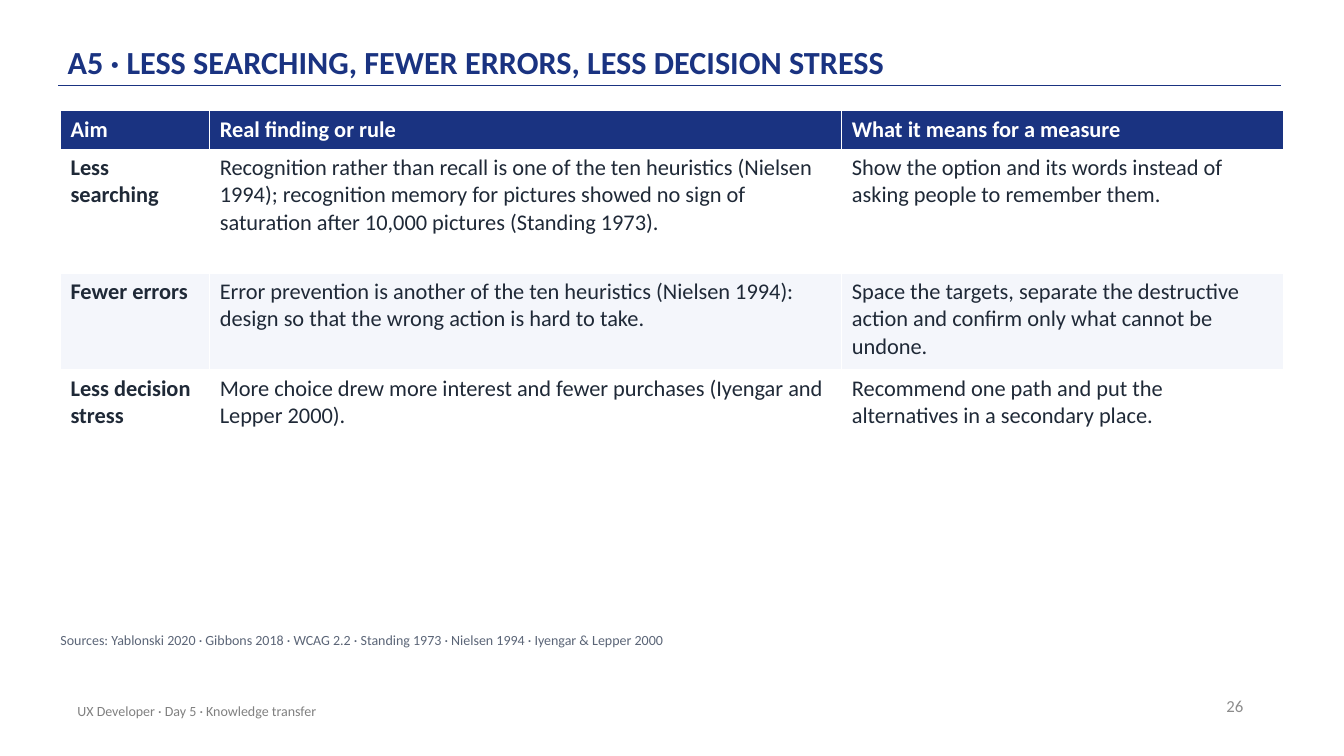
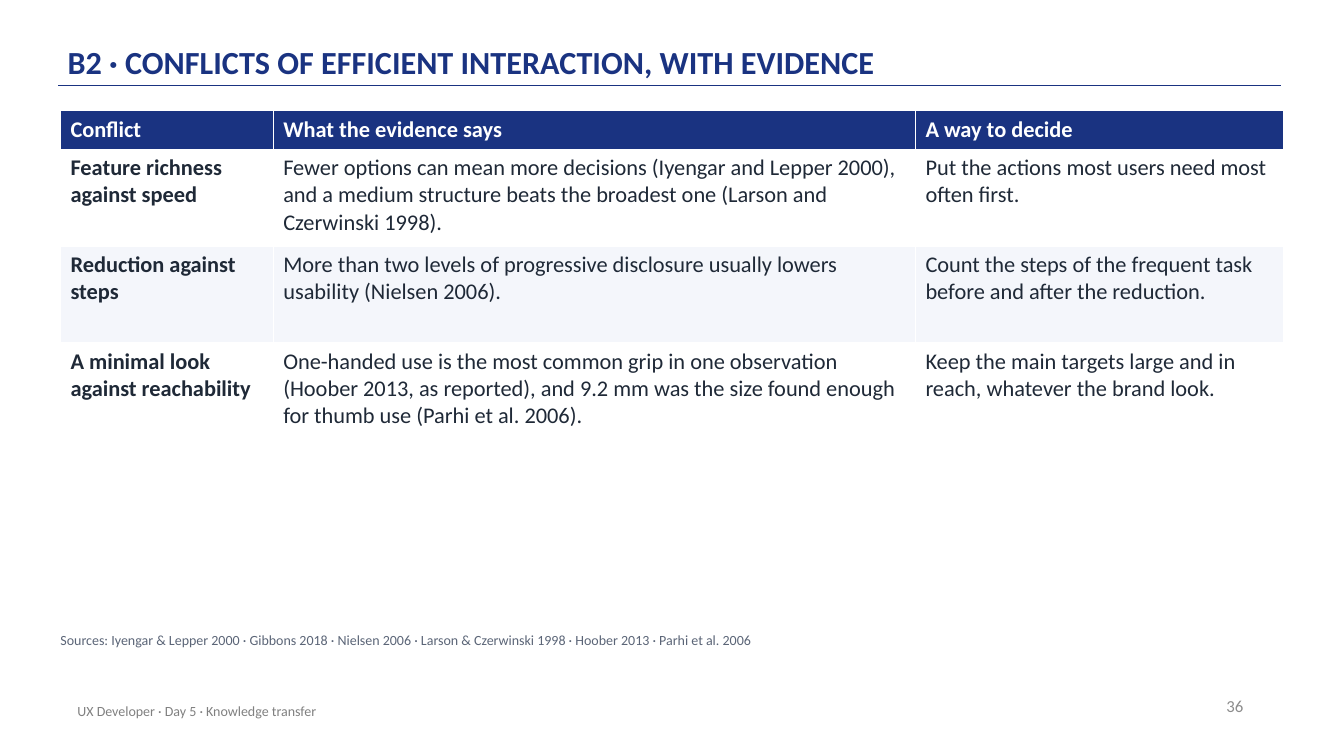
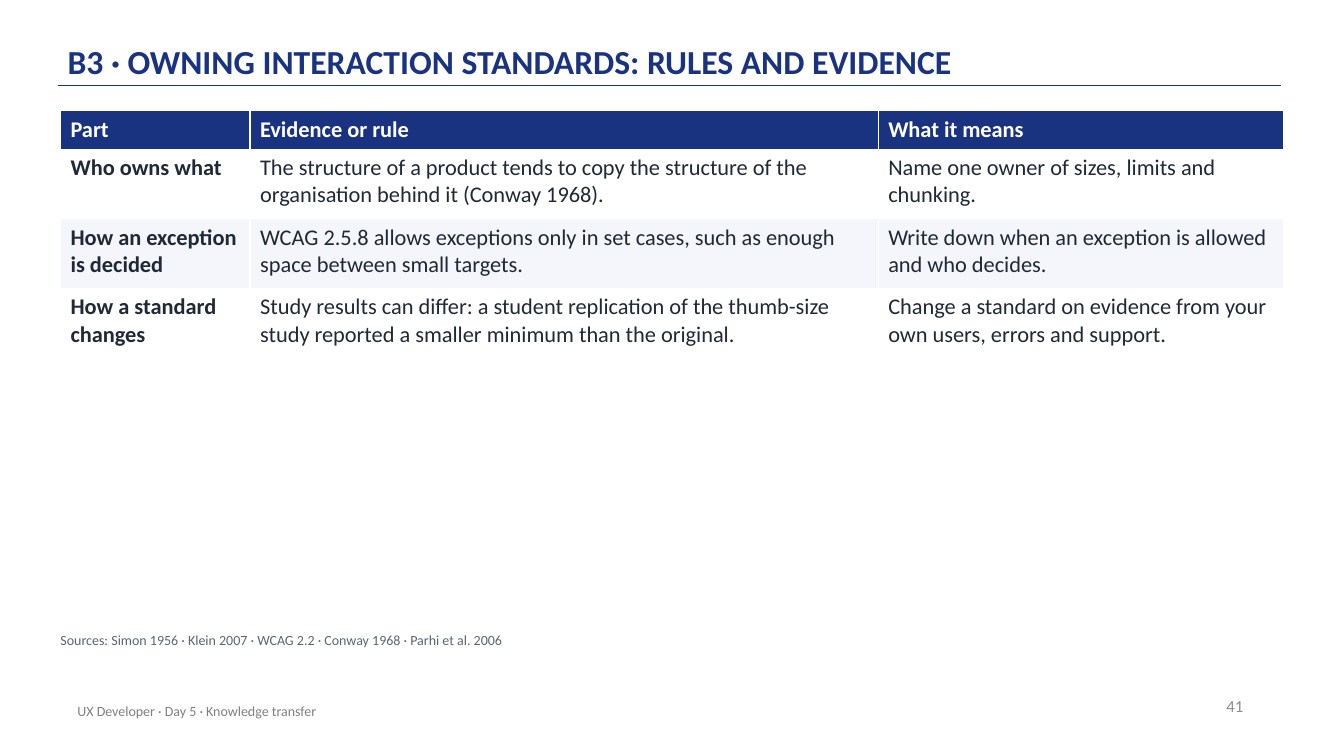
from lxml import etree
from pptx import Presentation
from pptx.dml.color import RGBColor
from pptx.enum.shapes import MSO_CONNECTOR as Connector
from pptx.enum.text import MSO_ANCHOR as Anchor, MSO_AUTO_SIZE as AutoSize, PP_ALIGN as Align
from pptx.oxml.ns import qn
from pptx.util import Emu, Pt

PX = 9144
FONT = "Calibri"
NAVY, INK, WHITE, STRIPE = "1A3381", "1F2937", "FFFFFF", "F4F6FB"
SOURCE_GREY, FOOTER_GREY, NUMBER_GREY = "5B6577", "808080", "8C8C8C"
FOOTER = "UX Developer · Day 5 · Knowledge transfer"

TITLE_BOX = (67, 12, 1100, 72)
RULE_BOX = (58, 85, 1213, 0)
TABLE_BOX = (60, 110, 1213)
SOURCES_BOX = (60, 627, 1210, 30)
FOOTER_BOX = (67, 685, 670, 40)
NUMBER_BOX = (943, 680, 300, 40)

SLIDES = [
    {
        "title": "A5 · LESS SEARCHING, FEWER ERRORS, LESS DECISION STRESS",
        "title_size": 23,
        "number": 26,
        "columns": (148, 627),
        "heights": (38, 123, 96, 69),
        "rows": [
            ("Aim", "Real finding or rule", "What it means for a measure"),
            ("Less searching",
             "Recognition rather than recall is one of the ten heuristics (Nielsen 1994); "
             "recognition memory for pictures showed no sign of saturation after "
             "10,000 pictures (Standing 1973).",
             "Show the option and its words instead of asking people to remember them."),
            ("Fewer errors",
             "Error prevention is another of the ten heuristics (Nielsen 1994): "
             "design so that the wrong action is hard to take.",
             "Space the targets, separate the destructive action and confirm only "
             "what cannot be undone."),
            ("Less decision stress",
             "More choice drew more interest and fewer purchases (Iyengar and Lepper 2000).",
             "Recommend one path and put the alternatives in a secondary place."),
        ],
        "sources": "Sources: Yablonski 2020 · Gibbons 2018 · WCAG 2.2 · Standing 1973 · "
                   "Nielsen 1994 · Iyengar & Lepper 2000",
    },
    {
        "title": "B2 · CONFLICTS OF EFFICIENT INTERACTION, WITH EVIDENCE",
        "title_size": 23,
        "number": 36,
        "columns": (211, 637),
        "heights": (38, 96, 96, 96),
        "rows": [
            ("Conflict", "What the evidence says", "A way to decide"),
            ("Feature richness against speed",
             "Fewer options can mean more decisions (Iyengar and Lepper 2000), and a medium "
             "structure beats the broadest one (Larson and Czerwinski 1998).",
             "Put the actions most users need most often first."),
            ("Reduction against steps",
             "More than two levels of progressive disclosure usually lowers usability "
             "(Nielsen 2006).",
             "Count the steps of the frequent task before and after the reduction."),
            ("A minimal look against reachability",
             "One-handed use is the most common grip in one observation (Hoober 2013, as "
             "reported), and 9.2 mm was the size found enough for thumb use "
             "(Parhi et al. 2006).",
             "Keep the main targets large and in reach, whatever the brand look."),
        ],
        "sources": "Sources: Iyengar & Lepper 2000 · Gibbons 2018 · Nielsen 2006 · "
                   "Larson & Czerwinski 1998 · Hoober 2013 · Parhi et al. 2006",
    },
    {
        "title": "B3 · OWNING INTERACTION STANDARDS: RULES AND EVIDENCE",
        "title_size": 24,
        "number": 41,
        "columns": (188, 623),
        "heights": (38, 69, 69, 96),
        "rows": [
            ("Part", "Evidence or rule", "What it means"),
            ("Who owns what",
             "The structure of a product tends to copy the structure of the organisation "
             "behind it (Conway 1968).",
             "Name one owner of sizes, limits and chunking."),
            ("How an exception is decided",
             "WCAG 2.5.8 allows exceptions only in set cases, such as enough space between "
             "small targets.",
             "Write down when an exception is allowed and who decides."),
            ("How a standard changes",
             "Study results can differ: a student replication of the thumb-size study "
             "reported a smaller minimum than the original.",
             "Change a standard on evidence from your own users, errors and support."),
        ],
        "sources": "Sources: Simon 1956 · Klein 2007 · WCAG 2.2 · Conway 1968 · "
                   "Parhi et al. 2006",
    },
]


def px(*lengths):
    return [Emu(length * PX) for length in lengths]


def paint(color_format, color):
    color_format.rgb = RGBColor.from_string(color)


def write(frame, text, size, color, bold=False, align=Align.LEFT):
    frame.text = text
    paragraph = frame.paragraphs[0]
    paragraph.alignment = align
    font = paragraph.font
    font.name, font.size, font.bold = FONT, Pt(size), bold
    paint(font.color, color)
    return paragraph


def set_insets(frame, horizontal, vertical):
    frame.margin_left, frame.margin_right = px(horizontal, horizontal)
    frame.margin_top, frame.margin_bottom = px(vertical, vertical)


def add_title(slide, box, text, size):
    title = slide.shapes.title
    title.left, title.top, title.width, title.height = px(*box)
    frame = title.text_frame
    frame.auto_size = AutoSize.NONE
    frame.word_wrap = True
    frame.vertical_anchor = Anchor.BOTTOM
    set_insets(frame, 0, 3)
    write(frame, text, size, NAVY, bold=True).line_spacing = 0.9


def add_rule(slide, box):
    left, top, width, height = box
    rule = slide.shapes.add_connector(
        Connector.STRAIGHT, *px(left, top, left + width, top + height))
    paint(rule.line.color, NAVY)
    rule.line.width = Pt(1)
    etree.SubElement(rule.element.spPr, qn("a:effectLst"))


def add_label(slide, box, text, size, color, align=Align.LEFT):
    frame = slide.shapes.add_textbox(*px(*box)).text_frame
    frame.word_wrap = True
    frame.vertical_anchor = Anchor.MIDDLE
    write(frame, text, size, color, align=align)


def add_sources(slide, box, text):
    frame = slide.shapes.add_textbox(*px(*box)).text_frame
    frame.word_wrap = True
    set_insets(frame, 0, 0)
    write(frame, text, 10, SOURCE_GREY).space_after = Pt(6)


def add_evidence_table(slide, box, columns, heights, rows):
    left, top, width = box
    widths = (*columns, width - sum(columns))
    table = slide.shapes.add_table(
        len(rows), len(widths), *px(left, top, width, sum(heights))).table
    table.horz_banding = False
    for column, column_width in zip(table.columns, px(*widths)):
        column.width = column_width
    for row, row_height in zip(table.rows, px(*heights)):
        row.height = row_height
    for r, texts in enumerate(rows):
        header = r == 0
        fill = NAVY if header else WHITE if r % 2 else STRIPE
        for c, text in enumerate(texts):
            cell = table.cell(r, c)
            cell.fill.solid()
            paint(cell.fill.fore_color, fill)
            write(cell.text_frame, text, 16, WHITE if header else INK,
                  bold=header or c == 0)


def build_slide(deck, content):
    slide = deck.slides.add_slide(deck.slide_layouts.get_by_name("Title Only"))
    add_rule(slide, RULE_BOX)
    add_title(slide, TITLE_BOX, content["title"], content["title_size"])
    add_label(slide, NUMBER_BOX, str(content["number"]), 12, NUMBER_GREY, Align.RIGHT)
    add_label(slide, FOOTER_BOX, FOOTER, 10, FOOTER_GREY)
    add_evidence_table(slide, TABLE_BOX, content["columns"], content["heights"],
                       content["rows"])
    add_sources(slide, SOURCES_BOX, content["sources"])


def main():
    deck = Presentation()
    deck.slide_width, deck.slide_height = px(1333, 750)
    for content in SLIDES:
        build_slide(deck, content)
    deck.save("out.pptx")


if __name__ == "__main__":
    main()
